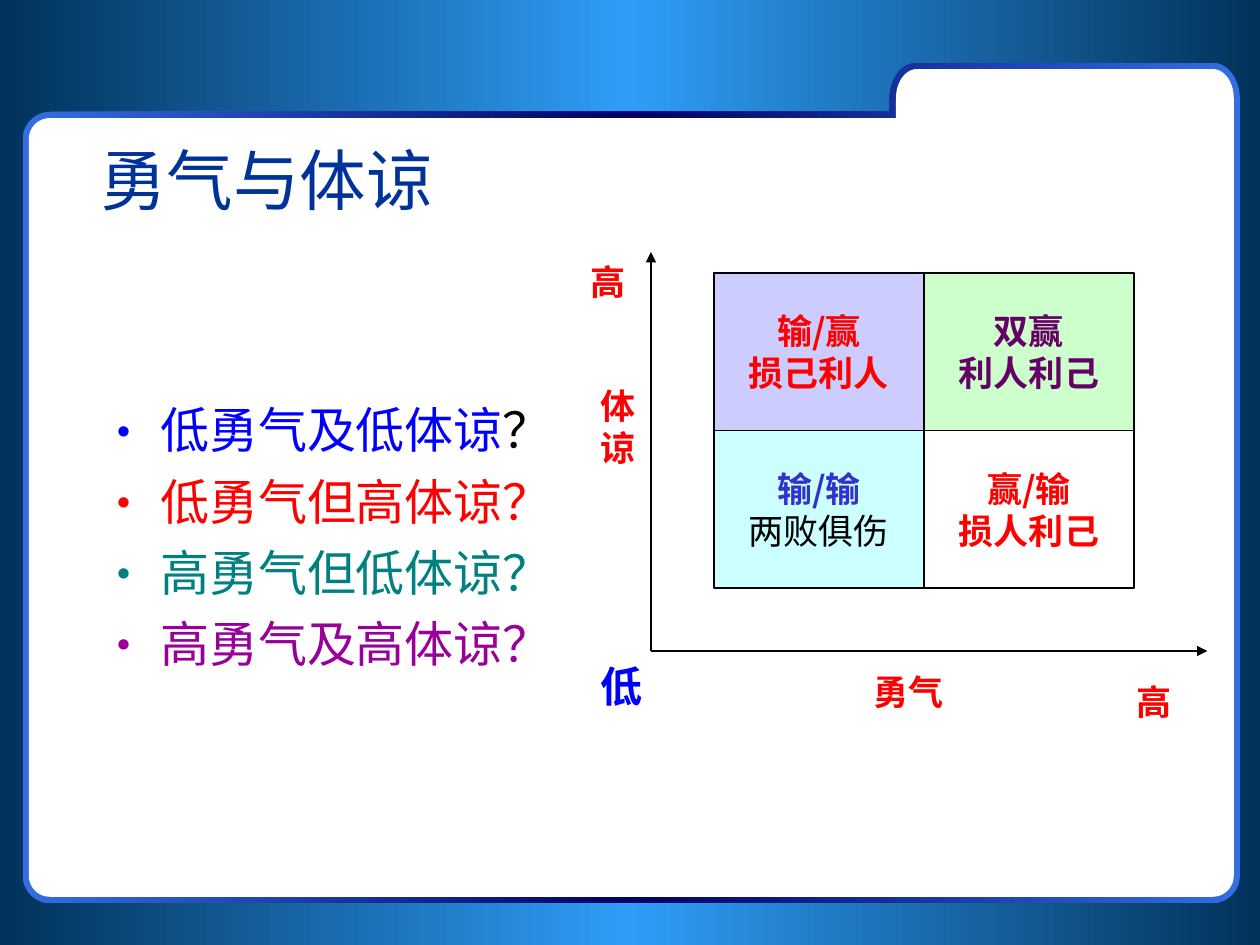
from copy import deepcopy
from dataclasses import dataclass
from math import cos, radians, sin

from lxml import etree
from pptx import Presentation
from pptx.dml.color import RGBColor
from pptx.enum import shapes, text
from pptx.oxml import ns
from pptx.util import Pt


@dataclass(frozen=True)
class Theme:
    font: str = "Noto Sans CJK SC"
    head: int = 38
    body: int = 28
    low: int = 24
    label: int = 20
    edge: str = "02325A"
    glow: str = "2F9DF7"
    rim: str = "346EE2"
    navy: str = "000066"
    title: str = "003399"
    blue: str = "0000FF"
    red: str = "FF0000"
    teal: str = "008080"
    violet: str = "990099"
    plum: str = "660066"
    indigo: str = "3333CC"
    black: str = "000000"
    white: str = "FFFFFF"
    lilac: str = "CCCCFF"
    mint: str = "CCFFCC"
    aqua: str = "CCFFFF"


T = Theme()
LEFT, CENTER = text.PP_ALIGN.LEFT, text.PP_ALIGN.CENTER


def rgb(code):
    return RGBColor.from_string(code)


def sub(node, tag, **attrs):
    return etree.SubElement(node, ns.qn(tag), **attrs)


def put(para, words, size=T.label, color=T.red, bold=False, align=LEFT):
    """Append a run, with the font set for Latin and East Asian text."""
    para.alignment = align
    run = para.add_run()
    run.text = words
    font = run.font
    font.size, font.bold, font.name = Pt(size), bold, T.font
    font.color.rgb = rgb(color)
    sub(run._r.get_or_add_rPr(), "a:ea", typeface=T.font)


def blend(fill, side, mid):
    """Horizontal gradient with the same colour on both sides."""
    fill.gradient()
    fill.gradient_angle = 0
    stops = fill.gradient_stops
    first = stops[0]._gs
    stops[1]._gs.addprevious(deepcopy(first))
    for stop, pos, color in zip(fill.gradient_stops, (0, 0.5, 1), (side, mid, side)):
        stop.position = pos
        stop.color.rgb = rgb(color)


def arc(x, y, rx, ry, start):
    """Points of a rounded corner at x, y, clockwise from the start angle."""
    turn = radians(start + 45)
    cx = x - rx * (1 if cos(turn) > 0 else -1)
    cy = y - ry * (1 if sin(turn) > 0 else -1)
    angles = [radians(start + step) for step in range(0, 91, 6)]
    return [(cx + rx * cos(a), cy + ry * sin(a)) for a in angles]


def folder(slide, inset):
    """Tabbed folder outline, drawn inset from its outer edge."""
    left, right = 13 + inset, 708.5 - inset
    top, tab, base = 64 + inset, 36 + inset, 516 - inset
    notch, r, tall = 508.5 + inset, 15.5 - inset, 20 - inset
    dots = [
        *arc(left, top, r, r, 180),
        (notch, top),
        *arc(notch, tab, r, tall, 180),
        *arc(right, tab, r, tall, 270),
        *arc(right, base, r, r, 0),
        *arc(left, base, r, r, 90),
    ]
    dots = [(Pt(x), Pt(y)) for x, y in dots]
    form = slide.shapes.build_freeform(*dots[0])
    form.add_line_segments(dots[1:], close=True)
    shape = form.convert_to_shape()
    shape.shadow.inherit = False
    shape.line.fill.background()
    return shape


def heading(slide, words):
    """Fill the title and bring it in front of the folder."""
    box = slide.shapes.title
    slide.shapes._spTree.append(box._element)
    box.left, box.top, box.width, box.height = Pt(50), Pt(60), Pt(612), Pt(84)
    box.text_frame.vertical_anchor = text.MSO_ANCHOR.MIDDLE
    put(box.text_frame.paragraphs[0], words, size=T.head, color=T.title)


def bullets(slide, items):
    box = slide.shapes.add_textbox(Pt(50), Pt(225), Pt(300), Pt(255))
    frame = box.text_frame
    frame.word_wrap = True
    for i, runs in enumerate(items):
        para = frame.add_paragraph() if i else frame.paragraphs[0]
        para.space_before = Pt(7 if i else 0)
        props = para._p.get_or_add_pPr()
        props.set("marL", str(Pt(34.5)))
        props.set("indent", str(-Pt(34.5)))
        sub(props, "a:buFont", typeface=T.font)
        sub(props, "a:buChar", char="·")
        for words, color in runs:
            put(para, words, size=T.body, color=color)


def cell(slide, col, row, fill, lines):
    wide, high = 120, 90
    box = slide.shapes.add_shape(
        shapes.MSO_SHAPE.RECTANGLE,
        Pt(408 + col * wide), Pt(156 + row * high), Pt(wide), Pt(high))
    box.shadow.inherit = False
    box.fill.solid()
    box.fill.fore_color.rgb = rgb(fill)
    box.line.color.rgb = rgb(T.black)
    box.line.width = Pt(0.75)
    frame = box.text_frame
    frame.word_wrap = False
    frame.vertical_anchor = text.MSO_ANCHOR.MIDDLE
    for i, (words, color, bold) in enumerate(lines):
        para = frame.add_paragraph() if i else frame.paragraphs[0]
        put(para, words, color=color, bold=bold, align=CENTER)


def axis(slide, x, y):
    """Arrow from the shared origin to x, y."""
    line = slide.shapes.add_connector(
        shapes.MSO_CONNECTOR.STRAIGHT, Pt(372), Pt(372), Pt(x), Pt(y))
    line.line.color.rgb = rgb(T.black)
    line.line.width = Pt(0.75)
    sub(line.line._get_or_add_ln(), "a:tailEnd", type="triangle")
    sub(line._element.spPr, "a:effectLst")


def label(slide, words, x, y, wide, high=32, wrap=False, **style):
    box = slide.shapes.add_textbox(Pt(x), Pt(y), Pt(wide), Pt(high))
    box.text_frame.word_wrap = wrap
    put(box.text_frame.paragraphs[0], words, bold=True, **style)


def main():
    deck = Presentation()
    deck.slide_width, deck.slide_height = Pt(720), Pt(540)
    slide = deck.slides.add_slide(deck.slide_layouts[5])

    blend(slide.background.fill, T.edge, T.glow)
    blend(folder(slide, 0).fill, T.rim, T.navy)
    panel = folder(slide, 3.5)
    panel.fill.solid()
    panel.fill.fore_color.rgb = rgb(T.white)

    heading(slide, "勇气与体谅")
    bullets(slide, [
        [("低勇气及低体谅", T.blue), ("？", T.black)],
        [("低勇气但高体谅？", T.red)],
        [("高勇气但低体谅？", T.teal)],
        [("高勇气及高体谅？", T.violet)],
    ])

    cell(slide, 0, 0, T.lilac, [("输/赢", T.red, True), ("损己利人", T.red, True)])
    cell(slide, 1, 0, T.mint, [("双赢", T.plum, True), ("利人利己", T.plum, True)])
    cell(slide, 0, 1, T.aqua, [("输/输", T.indigo, True), ("两败俱伤", T.black, False)])
    cell(slide, 1, 1, T.white, [("赢/输", T.red, True), ("损人利己", T.red, True)])

    axis(slide, 372, 144)
    axis(slide, 690, 372)
    label(slide, "低", 336, 374, 38.4, high=36, size=T.low, color=T.blue)
    label(slide, "体谅", 336, 216, 54, high=56, wrap=True)
    label(slide, "勇气", 492, 379.5, 54.4)
    label(slide, "高", 642.5, 385.5, 34.4)
    label(slide, "高", 330.5, 145.5, 34.4)

    deck.save("out.pptx")


if __name__ == "__main__":
    main()
